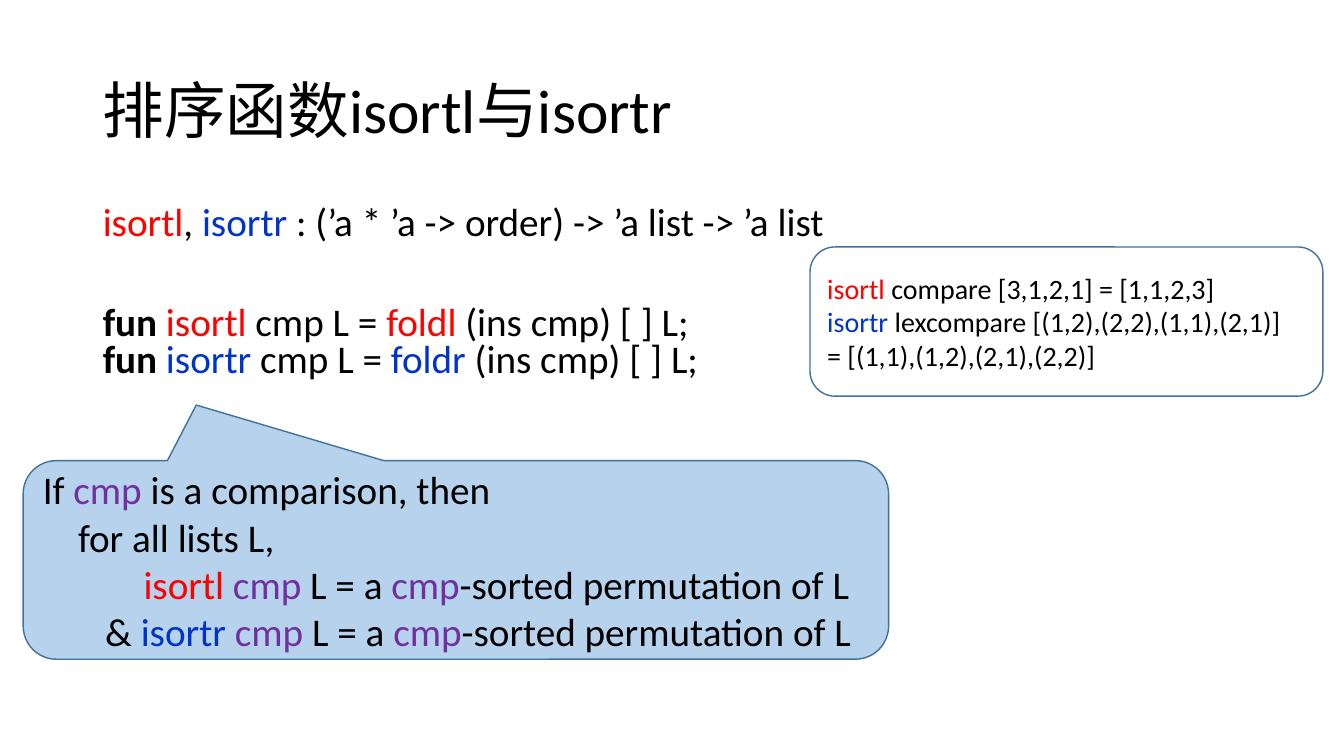
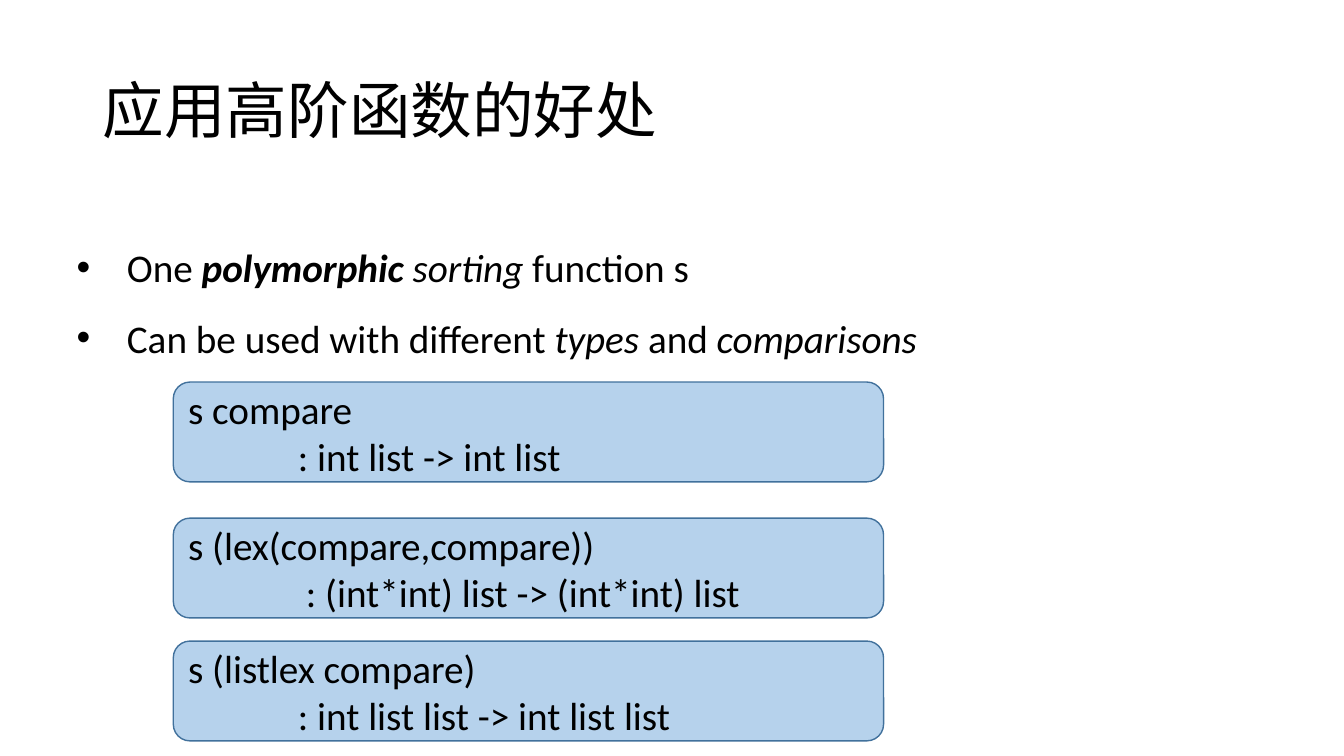
from dataclasses import dataclass

from pptx import Presentation
from pptx.dml.color import RGBColor
from pptx.enum.shapes import MSO_SHAPE
from pptx.enum.text import MSO_ANCHOR, MSO_AUTO_SIZE, PP_ALIGN
from pptx.util import Inches, Pt


@dataclass(frozen=True)
class Theme:
    font: str = "Calibri"
    title_size: int = 44
    text_size: int = 28
    example_size: int = 20
    text: str = "000000"
    left_fold: str = "FF0000"
    right_fold: str = "0033CC"
    comparison: str = "7030A0"
    panel: str = "B6D2EC"
    outline: str = "41719C"


theme = Theme()
ISORTL = ("isortl", theme.left_fold)
ISORTR = ("isortr", theme.right_fold)
CMP = ("cmp", theme.comparison)


def write_lines(frame, lines, size=theme.text_size):
    """Write (indent in inches, spans) lines; a span is text or (text, colour or "b"/"i" flags)."""
    frame.word_wrap = True
    frame.auto_size = MSO_AUTO_SIZE.NONE
    for number, (indent, spans) in enumerate(lines):
        para = frame.paragraphs[0] if number == 0 else frame.add_paragraph()
        para.alignment = PP_ALIGN.LEFT
        para.font.name = theme.font
        para.font.size = Pt(size)
        para.font.color.rgb = RGBColor.from_string(theme.text)
        properties = para._p.get_or_add_pPr()
        properties.set("marL", str(Inches(indent)))
        properties.set("indent", "0")
        for span in spans:
            text, style = (span, "") if isinstance(span, str) else span
            run = para.add_run()
            run.text = text
            if len(style) == 6:
                run.font.color.rgb = RGBColor.from_string(style)
            elif style:
                run.font.bold = "b" in style
                run.font.italic = "i" in style


def add_panel(page, kind, place, lines, fill=theme.panel, size=theme.text_size):
    panel = page.shapes.add_shape(kind, *map(Inches, place))
    panel.shadow.inherit = False
    if fill:
        panel.fill.solid()
        panel.fill.fore_color.rgb = RGBColor.from_string(fill)
    else:
        panel.fill.background()
    panel.line.color.rgb = RGBColor.from_string(theme.outline)
    panel.line.width = Pt(1)
    panel.text_frame.vertical_anchor = MSO_ANCHOR.MIDDLE
    write_lines(panel.text_frame, lines, size)
    return panel


deck = Presentation()
deck.slide_width, deck.slide_height = Inches(13.34), Inches(7.5)

# Titles and body lists
contents = [
    ("排序函数isortl与isortr", (0.92, 2, 11.5, 1.96), [
        (0, [ISORTL, ", ", ISORTR, " : (’a * ’a -> order) -> ’a list -> ’a list"]),
        (0, [("fun ", "b"), ISORTL, " cmp L = ", ("foldl", theme.left_fold), " (ins cmp) [ ] L;"]),
        (0, [("fun ", "b"), ISORTR, " cmp L = ", ("foldr", theme.right_fold), " (ins cmp) [ ] L;"]),
    ]),
    ("应用高阶函数的好处", (0.66, 2.13, 9.26, 1.5), [
        (0.5, ["One ", ("polymorphic ", "bi"), ("sorting", "i"), " function s"]),
        (0.5, ["Can be used with different ", ("types", "i"), " and ", ("comparisons", "i")]),
    ]),
]
for title, body_place, body_lines in contents:
    page = deck.slides.add_slide(deck.slide_layouts[1])
    heading, body = page.placeholders
    for box, place in ((heading, (0.92, 0.4, 11.5, 1.45)), (body, body_place)):
        box.left, box.top, box.width, box.height = map(Inches, place)
    write_lines(heading.text_frame, [(0, [title])], theme.title_size)
    heading.text_frame.paragraphs[0].line_spacing = 0.9
    write_lines(body.text_frame, body_lines)

sorting_page, benefits_page = deck.slides

# Sorting functions: plain code lines, the claim and an example
code_lines = sorting_page.placeholders[1].text_frame.paragraphs
for para, gap in zip(code_lines, (10, 44, 0)):
    para.line_spacing = 0.8
    para.space_before = Pt(gap)
    para._p.get_or_add_pPr().get_or_change_to_buNone()if hasattr(
        para._p.get_or_add_pPr(), "get_or_change_to_buNone") else para._p.pPr.insert_element_before(
        para._p.makeelement("{http://schemas.openxmlformats.org/drawingml/2006/main}buNone", {}),
        "a:tabLst", "a:defRPr", "a:extLst")

claim = [" L = a ", CMP, "-sorted permutation of L"]
callout = add_panel(
    sorting_page, MSO_SHAPE.ROUNDED_RECTANGULAR_CALLOUT, (0.23, 4.57, 8.59, 1.97), [
        (0, ["If ", CMP, " is a comparison, then"]),
        (0.35, ["for all lists L,"]),
        (1, [ISORTL, " ", CMP, *claim]),
        (0.62, ["& ", ISORTR, " ", CMP, *claim]),
    ])
callout.adjustments[0] = -0.3
callout.adjustments[1] = -0.78

add_panel(
    sorting_page, MSO_SHAPE.ROUNDED_RECTANGLE, (8.04, 2.45, 5.09, 1.48), [
        (0, [ISORTL, " compare [3,1,2,1] = [1,1,2,3]"]),
        (0, [ISORTR, " lexcompare [(1,2),(2,2),(1,1),(2,1)]"]),
        (0, ["= [(1,1),(1,2),(2,1),(2,2)]"]),
    ], fill=None, size=theme.example_size)

# Benefits: bulleted list and one panel per use
for para in benefits_page.placeholders[1].text_frame.paragraphs:
    para.line_spacing = 1.5
    para.space_before = Pt(0)
    para._p.get_or_add_pPr().set("indent", str(-Inches(0.5)))

uses = [
    (3.79, "s compare", 1.09, ": int list -> int list"),
    (5.14, "s (lex(compare,compare))", 1.17, ": (int*int) list -> (int*int) list"),
    (6.36, "s (listlex compare)", 1.09, ": int list list -> int list list"),
]
for top, call, indent, signature in uses:
    add_panel(benefits_page, MSO_SHAPE.ROUNDED_RECTANGLE, (1.72, top, 7.05, 0.99),
              [(0, [call]), (indent, [signature])])

deck.save("out.pptx")
